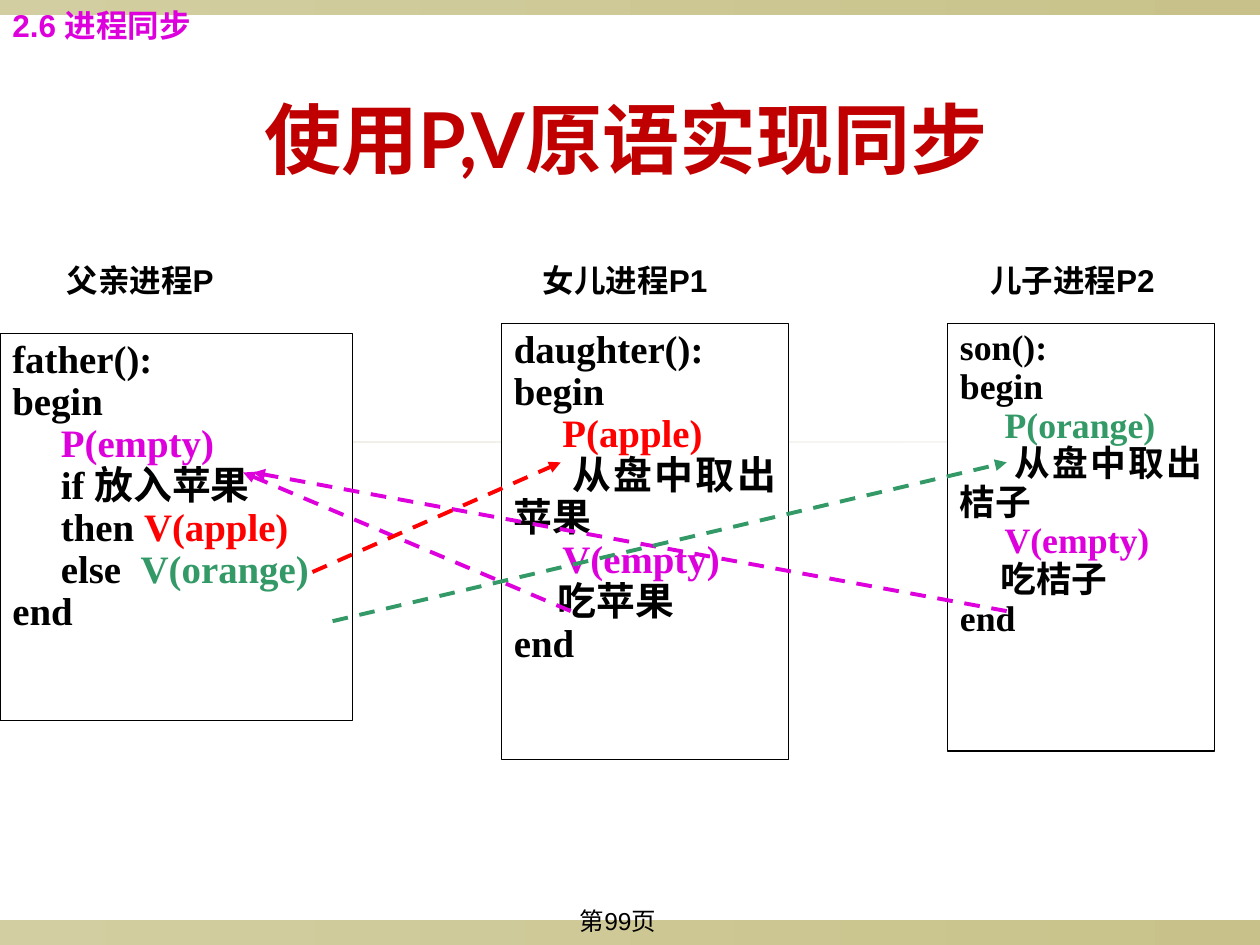
from pptx import Presentation
from pptx.dml.color import RGBColor
from pptx.enum.dml import MSO_LINE
from pptx.enum.shapes import MSO_CONNECTOR, MSO_SHAPE
from pptx.enum.text import MSO_ANCHOR, MSO_AUTO_SIZE, PP_ALIGN
from pptx.oxml.ns import qn
from pptx.util import Inches, Pt
from lxml import etree

RECT = MSO_SHAPE.RECTANGLE
LINE = MSO_CONNECTOR.STRAIGHT
DASH = MSO_LINE.DASH
TOP, MIDDLE = MSO_ANCHOR.TOP, MSO_ANCHOR.MIDDLE
FIXED = MSO_AUTO_SIZE.NONE
LEFT, CENTER, JUSTIFY = PP_ALIGN.LEFT, PP_ALIGN.CENTER, PP_ALIGN.JUSTIFY

BLACK, WHITE, DARK = "000000", "FFFFFF", "C00000"
PINK, RED, GREEN = "DD00DD", "FF0000", "339966"
INDENT = " " * 5

BANDS = [
    ((0, 7.3, 10, 0.2), ("D3CEA1", "C8C28A")),
    ((0, 0, 10, 0.12), ("D3CEA1", "C8C28A")),
    ((0.75, 3.5, 8.5, 0.02), ("EEECE6", "F8F7F5")),
]
LABELS = [
    ("父亲进程P", (0.43, 2.02, 1.93, 0.4), BLACK),
    ("女儿进程P1", (4.21, 2.02, 1.93, 0.4), BLACK),
    ("儿子进程P2", (7.76, 2.02, 1.93, 0.4), BLACK),
    ("2.6 进程同步", (0, 0, 1.85, 0.4), PINK),
]
FATHER = [
    [(INDENT, BLACK), ("P(empty)", PINK)],
    [(INDENT + "if 放入苹果", BLACK)],
    [(INDENT + "then ", BLACK), ("V(apple)", RED)],
    [(INDENT + "else  ", BLACK), ("V(orange)", GREEN)],
]
ARROWS = [
    ((4.53, 4.85), (1.93, 3.75), PINK),
    ((7.99, 4.85), (2.01, 3.75), PINK),
    ((2.48, 4.54), (4.45, 3.67), RED),
    ((2.64, 4.93), (7.99, 3.67), GREEN),
]


def rgb(code):
    """Turn a hex string into a colour."""
    return RGBColor.from_string(code)


def style(item, values):
    """Set attributes from a dict of values."""
    for name, value in values.items():
        setattr(item, name, value)


def write(frame, lines, font, size, bold=True, align=LEFT, gap=None):
    """Fill a text frame with lines of coloured runs."""
    for i, line in enumerate(lines):
        para = frame.paragraphs[0] if i == 0 else frame.add_paragraph()
        style(para, {"alignment": align, "line_spacing": gap})
        for text, code in line:
            run = para.add_run()
            run.text = text
            style(run.font, {"name": font, "size": Pt(size), "bold": bold})
            run.font.color.rgb = rgb(code)


def add_band(slide, area, codes):
    """Draw a bar that fades between two colours."""
    band = slide.shapes.add_shape(RECT, *map(Inches, area))
    band.shadow.inherit = False
    band.line.fill.background()
    band.fill.gradient()
    band.fill.gradient_angle = 0
    for stop, code, place in zip(band.fill.gradient_stops, codes, (0, 1)):
        stop.color.rgb = rgb(code)
        stop.position = place


def add_label(slide, text, area, code, **form):
    """Place one line of text."""
    box = slide.shapes.add_textbox(*map(Inches, area))
    box.text_frame.word_wrap = True
    write(box.text_frame, [[(text, code)]], "Arial", **form)


def add_code(slide, name, body, area, size):
    """Draw a framed procedure listing."""
    box = slide.shapes.add_shape(RECT, *map(Inches, area))
    box.shadow.inherit = False
    box.fill.solid()
    box.fill.fore_color.rgb = rgb(WHITE)
    box.line.color.rgb = rgb(BLACK)
    box.line.width = Pt(0.75)
    style(box.text_frame, {"word_wrap": True, "vertical_anchor": TOP})
    head = [[(name + "():", BLACK)], [("begin", BLACK)]]
    lines = head + body + [[("end", BLACK)]]
    write(box.text_frame, lines, "Times New Roman", size, align=JUSTIFY, gap=0.9)


def child(fruit, word, code):
    """Give the steps of a child that waits for a fruit."""
    return [
        [(INDENT, BLACK), (f"P({fruit})", code)],
        [(INDENT + "从盘中取出" + word, BLACK)],
        [(INDENT, BLACK), ("V(empty)", PINK)],
        [(INDENT + "吃" + word, BLACK)],
    ]


def add_arrow(slide, start, end, code):
    """Draw a dashed arrow."""
    arrow = slide.shapes.add_connector(LINE, *map(Inches, start + end))
    style(arrow.line, {"width": Pt(2.25), "dash_style": DASH})
    arrow.line.color.rgb = rgb(code)
    tail = etree.SubElement(arrow.line._get_or_add_ln(), qn("a:tailEnd"))
    tail.set("type", "triangle")
    etree.SubElement(arrow._element.spPr, qn("a:effectLst"))


def add_title(slide, text):
    """Place and fill the title."""
    title = slide.shapes.title
    area = map(Inches, (0.47, 0.47, 9, 1.25))
    style(title, dict(zip(("left", "top", "width", "height"), area)))
    frame = title.text_frame
    style(frame, {"auto_size": FIXED, "vertical_anchor": MIDDLE, "word_wrap": True})
    write(frame, [[(text, DARK)]], "Lato", 44, align=CENTER)


def main():
    """Build the slide."""
    deck = Presentation()
    style(deck, {"slide_width": Inches(10), "slide_height": Inches(7.5)})
    slide = deck.slides.add_slide(deck.slide_layouts[5])
    for band in BANDS:
        add_band(slide, *band)
    add_label(slide, "第99页", (3.74, 7.14, 2.33, 0.36), BLACK,
              size=14, bold=False, align=CENTER)
    apple = child("apple", "苹果", RED)
    orange = child("orange", "桔子", GREEN)
    add_code(slide, "father", FATHER, (0, 2.65, 2.8, 3.07), 22.2)
    add_code(slide, "daughter", apple, (3.98, 2.57, 2.28, 3.46), 22.2)
    add_code(slide, "son", orange, (7.52, 2.57, 2.12, 3.39), 20.4)
    add_title(slide, "使用P,V原语实现同步")
    for label in LABELS:
        add_label(slide, *label, size=18)
    for arrow in ARROWS:
        add_arrow(slide, *arrow)
    deck.save("out.pptx")


if __name__ == "__main__":
    main()
